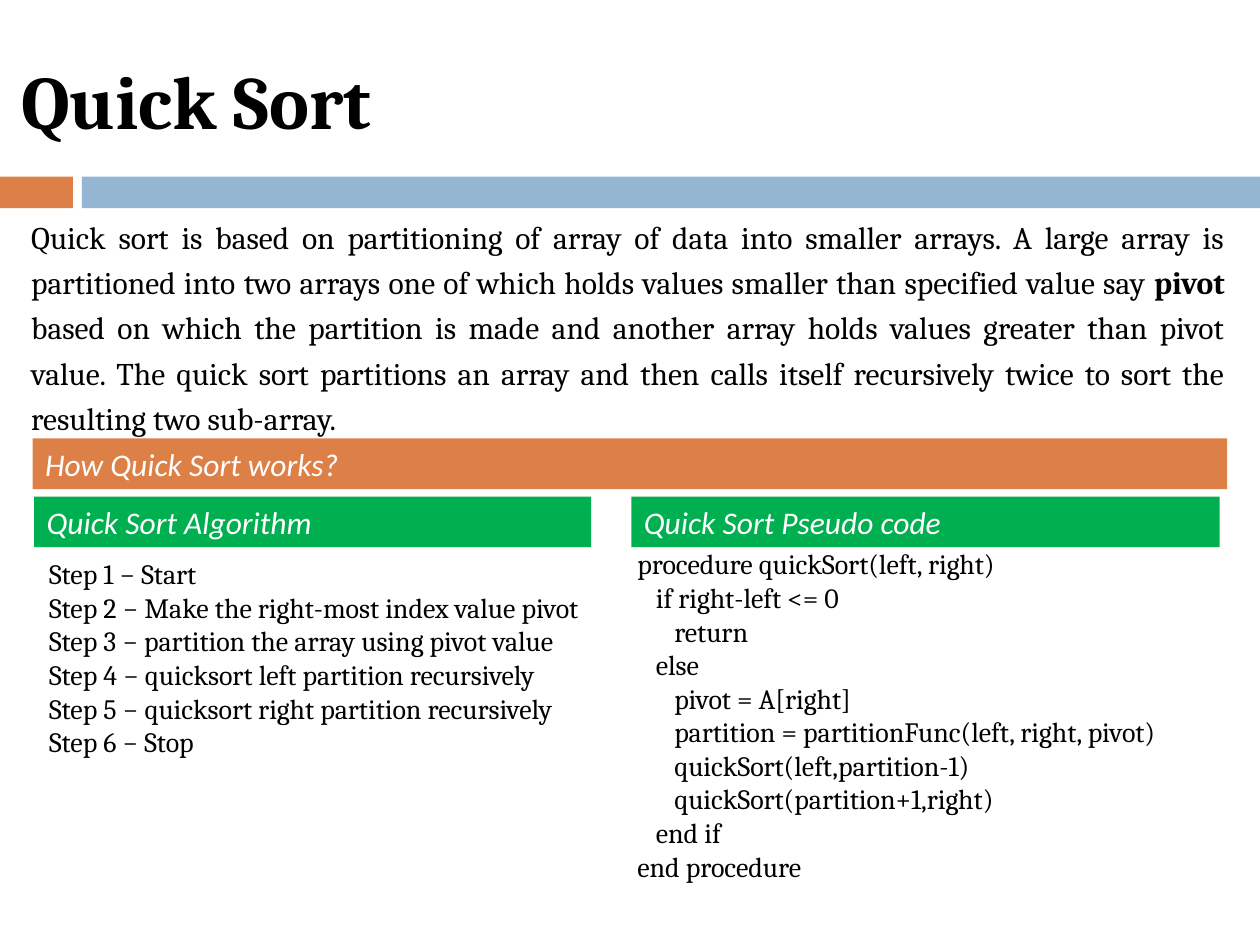
import pptx
import pptx.util
import pptx.dml.color
import pptx.enum.shapes
import pptx.enum.text
from dataclasses import dataclass

Cm = pptx.util.Cm
Pt = pptx.util.Pt
Align = pptx.enum.text.PP_ALIGN
Anchor = pptx.enum.text.MSO_ANCHOR


@dataclass(frozen=True)
class Theme:
    ink: str = "000000"
    white: str = "FFFFFF"
    orange: str = "DD8047"
    blue: str = "94B6D2"
    green: str = "00B050"
    serif: str = "Cambria"
    sans: str = "Calibri"
    title: int = 43
    body: int = 18
    code: int = 16


THEME = Theme()

INTRO = [
    ("Quick sort is based on partitioning of array of data into smaller "
     "arrays. A large array is partitioned into two arrays one of which "
     "holds values smaller than specified value say ", False),
    ("pivot", True),
    (" based on which the partition is made and another array holds values "
     "greater than pivot value. The quick sort partitions an array and then "
     "calls itself recursively twice to sort the resulting two sub-array.",
     False),
]

STEPS = [
    "Start",
    "Make the right-most index value pivot",
    "partition the array using pivot value",
    "quicksort left partition recursively",
    "quicksort right partition recursively",
    "Stop",
]

CODE = """\
procedure quickSort(left, right)
   if right-left <= 0
      return
   else
      pivot = A[right]
      partition = partitionFunc(left, right, pivot)
      quickSort(left,partition-1)
      quickSort(partition+1,right)
   end if
end procedure"""


def color(code):
    return pptx.dml.color.RGBColor.from_string(code)


def style(para, size, face=THEME.serif, ink=THEME.ink):
    font = para.font
    font.name, font.size = face, Pt(size)
    font.color.rgb = color(ink)
    return font


def bar(slide, box, fill):
    """Plain filled rectangle; box is left, top, width, height in cm."""
    rect = pptx.enum.shapes.MSO_SHAPE.RECTANGLE
    shape = slide.shapes.add_shape(rect, *map(Cm, box))
    shape.shadow.inherit = False
    shape.fill.solid()
    shape.fill.fore_color.rgb = color(fill)
    shape.line.fill.background()
    return shape


def banner(slide, box, fill, text):
    """Filled heading with white italic text."""
    frame = bar(slide, box, fill).text_frame
    frame.word_wrap = True
    frame.vertical_anchor = Anchor.TOP
    para = frame.paragraphs[0]
    para.text, para.alignment = text, Align.LEFT
    style(para, THEME.body, THEME.sans, THEME.white).italic = True


def label(slide, box, wrap=True):
    """Empty text box, returned as its text frame."""
    frame = slide.shapes.add_textbox(*map(Cm, box)).text_frame
    frame.word_wrap = wrap
    return frame


def lines(slide, box, rows, wrap=True):
    """Text box with one paragraph for each row."""
    frame = label(slide, box, wrap)
    frame.text = "\n".join(rows)
    for para in frame.paragraphs:
        style(para, THEME.code)


def title(slide, box, text):
    frame = label(slide, box)
    frame.vertical_anchor = Anchor.MIDDLE
    para = frame.paragraphs[0]
    para.text = text
    style(para, THEME.title).bold = True


def intro(slide, box, parts):
    para = label(slide, box).paragraphs[0]
    para.alignment, para.line_spacing = Align.JUSTIFY, 1.2
    style(para, THEME.body)
    for text, bold in parts:
        run = para.add_run()
        run.text = text
        if bold:
            run.font.bold = True


def main():
    deck = pptx.Presentation()
    deck.slide_width, deck.slide_height = Cm(25.4), Cm(19.05)
    slide = deck.slides.add_slide(deck.slide_layouts[6])

    # Title and divider
    bar(slide, (0, 3.56, 1.47, 0.64), THEME.orange)
    bar(slide, (1.65, 3.56, 23.75, 0.64), THEME.blue)
    title(slide, (0.18, 0.64, 22.66, 2.74), "Quick Sort")

    # Introduction
    intro(slide, (0.38, 4.11, 24.56, 4.83), INTRO)
    banner(slide, (0.66, 8.84, 24.08, 1.02), THEME.orange,
           "How Quick Sort works?")

    # Algorithm column
    banner(slide, (0.69, 10.01, 11.23, 1.02), THEME.green,
           "Quick Sort Algorithm")
    steps = [f"Step {n} − {text}" for n, text in enumerate(STEPS, 1)]
    lines(slide, (0.74, 11.1, 11.23, 4.32), steps, wrap=False)

    # Pseudo code column
    banner(slide, (12.73, 10.01, 11.86, 1.02), THEME.green,
           "Quick Sort Pseudo code")
    lines(slide, (12.6, 10.9, 12.22, 7.04), CODE.split("\n"))

    deck.save("out.pptx")


if __name__ == "__main__":
    main()
